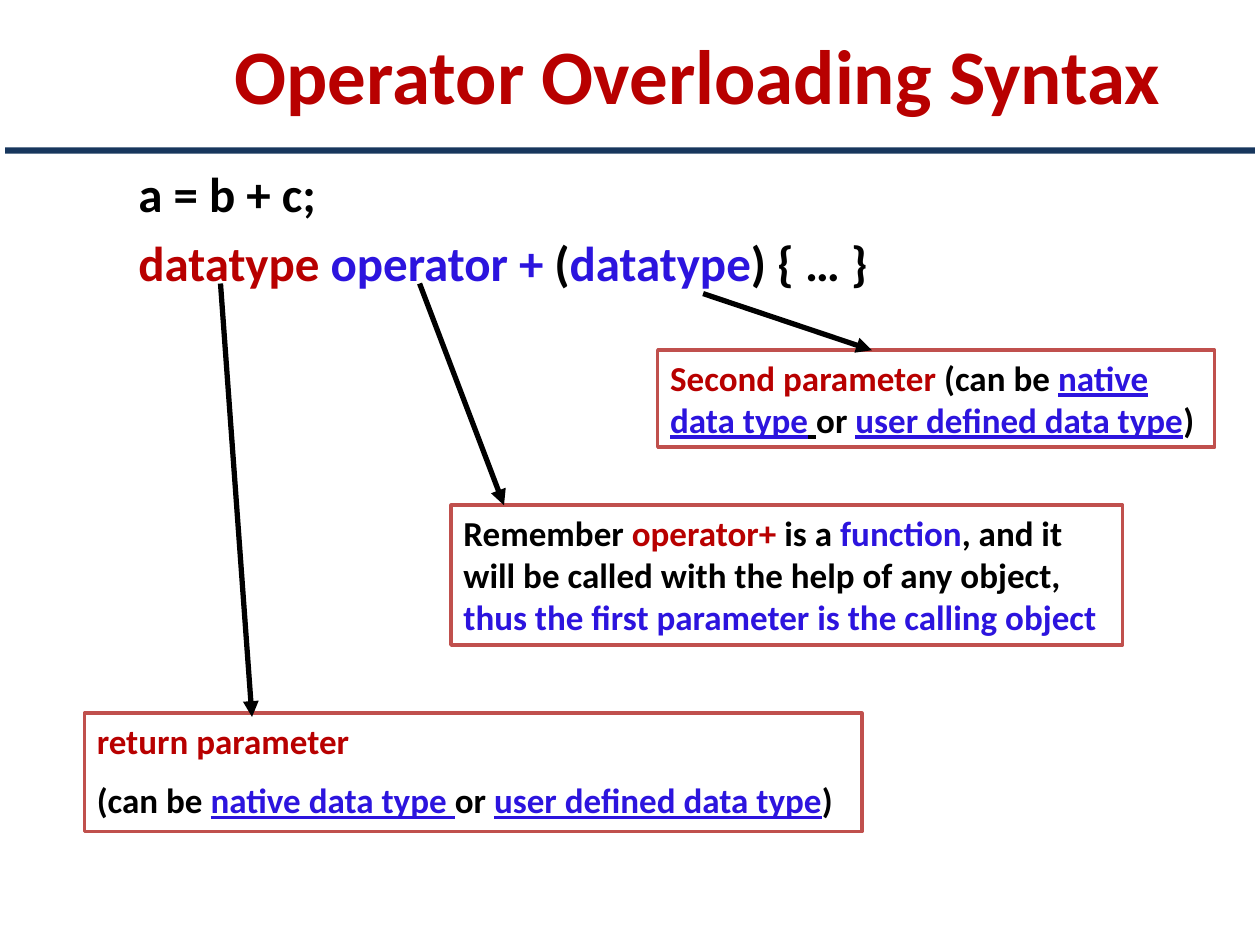
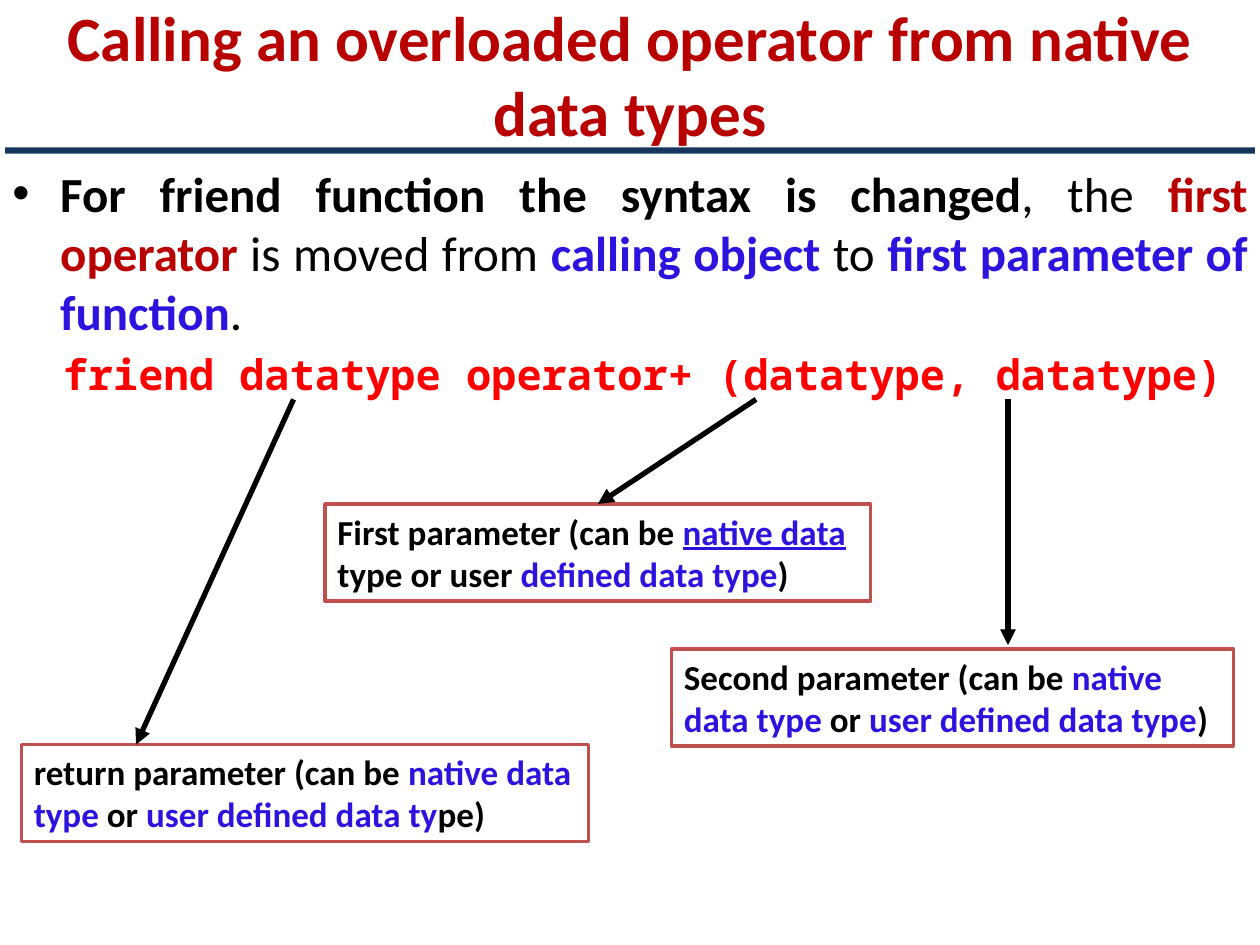
from dataclasses import dataclass

from lxml import etree
from pptx import Presentation
from pptx.dml.color import RGBColor
from pptx.enum import shapes, text
from pptx.oxml import ns
from pptx.util import Inches, Pt


@dataclass(frozen=True)
class Theme:
    black: str = "000000"
    white: str = "FFFFFF"
    crimson: str = "B80000"
    blue: str = "2C14DE"
    red: str = "FF0000"
    navy: str = "17365D"
    border: str = "C0504D"
    font: str = "Calibri"
    code_font: str = "Noto Sans Mono"
    title_size: int = 44
    long_title_size: int = 36
    body_size: int = 28
    code_size: int = 24
    callout_size: int = 20


THEME = Theme()
BLACK, CRIMSON, BLUE = THEME.black, THEME.crimson, THEME.blue
BODY_BOX = (0, 1.25, 10, 6.17)
RULE_BOX = (0.04, 1.17, 9.92, 0.05)


def color(value):
    return RGBColor.from_string(value)


def inches(box):
    return [Inches(length) for length in box]


def prepare_frame(shape, anchor):
    frame = shape.text_frame
    frame.word_wrap = True
    frame.auto_size = text.MSO_AUTO_SIZE.NONE
    frame.vertical_anchor = anchor
    frame.margin_left = frame.margin_right = Inches(0.1)
    frame.margin_top = frame.margin_bottom = Inches(0.05)
    return frame


def write_paragraph(paragraph, runs, size, font=THEME.font, space_before=0,
                    align=text.PP_ALIGN.LEFT):
    """Each run is (text, colour) or (text, colour, style): u underlined, r regular."""
    paragraph.alignment = align
    paragraph.space_before = Pt(space_before)
    paragraph.font.name = font
    paragraph.font.size = Pt(size)
    paragraph.font.bold = True
    for words, run_color, *style in runs:
        run = paragraph.add_run()
        run.text = words
        run.font.color.rgb = color(run_color)
        if "u" in style:
            run.font.underline = True
        if "r" in style:
            run.font.bold = False


def indent(paragraph, left, bullet=None):
    properties = paragraph._p.get_or_add_pPr()
    properties.set("marL", str(Inches(left)))
    properties.set("indent", str(-Inches(left) if bullet else 0))
    if bullet:
        bullet_font = etree.SubElement(properties, ns.qn("a:buFont"))
        bullet_font.set("typeface", "Arial")
        etree.SubElement(properties, ns.qn("a:buChar")).set("char", bullet)
        # Bullet elements come before the default run properties
        properties.append(properties.find(ns.qn("a:defRPr")))


def add_rectangle(slide, box, fill, border=None):
    shape = slide.shapes.add_shape(shapes.MSO_SHAPE.RECTANGLE, *inches(box))
    shape.shadow.inherit = False
    shape.fill.solid()
    shape.fill.fore_color.rgb = color(fill)
    if border:
        shape.line.color.rgb = color(border)
        shape.line.width = Pt(2)
    else:
        shape.line.fill.background()
    return shape


def add_titled_slide(presentation, title, box, size):
    slide = presentation.slides.add_slide(presentation.slide_layouts[5])
    placeholder = slide.shapes.title
    placeholder.left, placeholder.top, placeholder.width, placeholder.height = inches(box)
    frame = prepare_frame(placeholder, text.MSO_ANCHOR.MIDDLE)
    write_paragraph(frame.paragraphs[0], [(title, CRIMSON)], size,
                    align=text.PP_ALIGN.CENTER)
    add_rectangle(slide, RULE_BOX, THEME.navy)
    return slide


def add_body(slide, box):
    """Return the two empty paragraphs of the body text."""
    shape = slide.shapes.add_textbox(*inches(box))
    frame = prepare_frame(shape, text.MSO_ANCHOR.TOP)
    return frame.paragraphs[0], frame.add_paragraph()


def add_arrow(slide, start, end):
    arrow = slide.shapes.add_connector(
        shapes.MSO_CONNECTOR.STRAIGHT, *inches(start + end))
    arrow.line.color.rgb = color(BLACK)
    arrow.line.width = Pt(3)
    tail = etree.SubElement(arrow.line._get_or_add_ln(), ns.qn("a:tailEnd"))
    tail.set("type", "triangle")
    etree.SubElement(arrow._element.spPr, ns.qn("a:effectLst"))
    return arrow


def add_callout(slide, box, paragraphs, start, tip=None):
    """Bordered note with an arrow from start to tip, an offset from the note's
    corner. Without a tip the arrow joins the middle of the top side."""
    note = add_rectangle(slide, box, THEME.white, THEME.border)
    frame = prepare_frame(note, text.MSO_ANCHOR.TOP)
    for index, runs in enumerate(paragraphs):
        paragraph = frame.add_paragraph() if index else frame.paragraphs[0]
        write_paragraph(paragraph, runs, THEME.callout_size,
                        space_before=10 if index else 0)
    left, top, width, _ = box
    dx, dy = tip or (width / 2, 0)
    arrow = add_arrow(slide, start, (left + dx, top + dy))
    if tip is None:
        arrow.end_connect(note, 0)


def build_syntax_slide(presentation):
    slide = add_titled_slide(presentation, "Operator Overloading Syntax",
                             (1.08, 0, 8.92, 1.17), THEME.title_size)
    # Expression and its operator signature
    expression, signature = add_body(slide, BODY_BOX)
    write_paragraph(expression, [("a = b + c;", BLACK)], THEME.body_size)
    write_paragraph(signature, [
        ("datatype ", CRIMSON), ("operator + ", BLUE), ("(", BLACK),
        ("datatype", BLUE), (") { … }", BLACK)], THEME.body_size, space_before=5.6)
    for paragraph in (expression, signature):
        indent(paragraph, 1)

    # Notes on the parts of the signature
    add_callout(slide, (0.67, 5.66, 6.17, 0.94), [
        [("return parameter", CRIMSON)],
        [("(can be ", BLACK), ("native data type ", BLUE, "u"), ("or ", BLACK),
         ("user defined data type", BLUE, "u"), (")", BLACK)],
    ], start=(1.75, 2.25), tip=(1.33, 0.03))
    add_callout(slide, (5.22, 2.78, 4.42, 0.77), [
        [("Second parameter ", CRIMSON), ("(can be ", BLACK),
         ("native data type", BLUE, "u"), (" ", BLACK, "u"), ("or ", BLACK),
         ("user defined data type", BLUE, "u"), (")", BLACK)],
    ], start=(5.58, 2.33), tip=(1.7, 0))
    add_callout(slide, (3.58, 4.01, 5.33, 1.11), [
        [("Remember ", BLACK), ("operator+", CRIMSON), (" is a ", BLACK),
         ("function", BLUE),
         (", and it will be called with the help of any object, ", BLACK),
         ("thus the first parameter is the calling object", BLUE)],
    ], start=(3.33, 2.25), tip=(0.42, 0))


def build_friend_slide(presentation):
    slide = add_titled_slide(
        presentation, "Calling an overloaded operator from native data types",
        (0, 0, 10, 1.17), THEME.long_title_size)
    # Explanation and friend signature
    explanation, signature = add_body(slide, BODY_BOX)
    write_paragraph(explanation, [
        ("For friend function the syntax is changed", BLACK),
        (", the ", BLACK, "r"), ("first operator", CRIMSON),
        (" is moved from ", BLACK, "r"), ("calling object ", BLUE),
        ("to ", BLACK, "r"), ("first parameter of function", BLUE),
        (".", BLACK, "r")], THEME.body_size, align=text.PP_ALIGN.JUSTIFY)
    indent(explanation, 0.38, "•")
    write_paragraph(signature,
                    [("friend datatype operator+ (datatype, datatype)", THEME.red)],
                    THEME.code_size, THEME.code_font, space_before=4.8)
    indent(signature, 0.4)

    # Notes on the return type and both parameters
    add_callout(slide, (0.17, 5.91, 4.5, 0.77), [
        [("return parameter (can be ", BLACK), ("native data type", BLUE),
         (" or ", BLACK), ("user defined data ty", BLUE), ("pe)", BLACK)],
    ], start=(2.33, 3.17), tip=(0.91, 0))
    add_callout(slide, (5.33, 5.15, 4.46, 0.77), [
        [("Second parameter (can be ", BLACK), ("native data type", BLUE),
         (" or ", BLACK), ("user defined data type", BLUE), (")", BLACK)],
    ], start=(8, 3.17), tip=(2.67, -0.03))
    add_callout(slide, (2.58, 4, 4.33, 0.77), [
        [("First parameter (can be ", BLACK), ("native data ", BLUE, "u"),
         ("type or user ", BLACK), ("defined data type", BLUE), (")", BLACK)],
    ], start=(6, 3.17))


def main():
    presentation = Presentation()
    presentation.slide_width = Inches(10)
    presentation.slide_height = Inches(7.5)
    build_syntax_slide(presentation)
    build_friend_slide(presentation)
    presentation.save("out.pptx")


if __name__ == "__main__":
    main()
